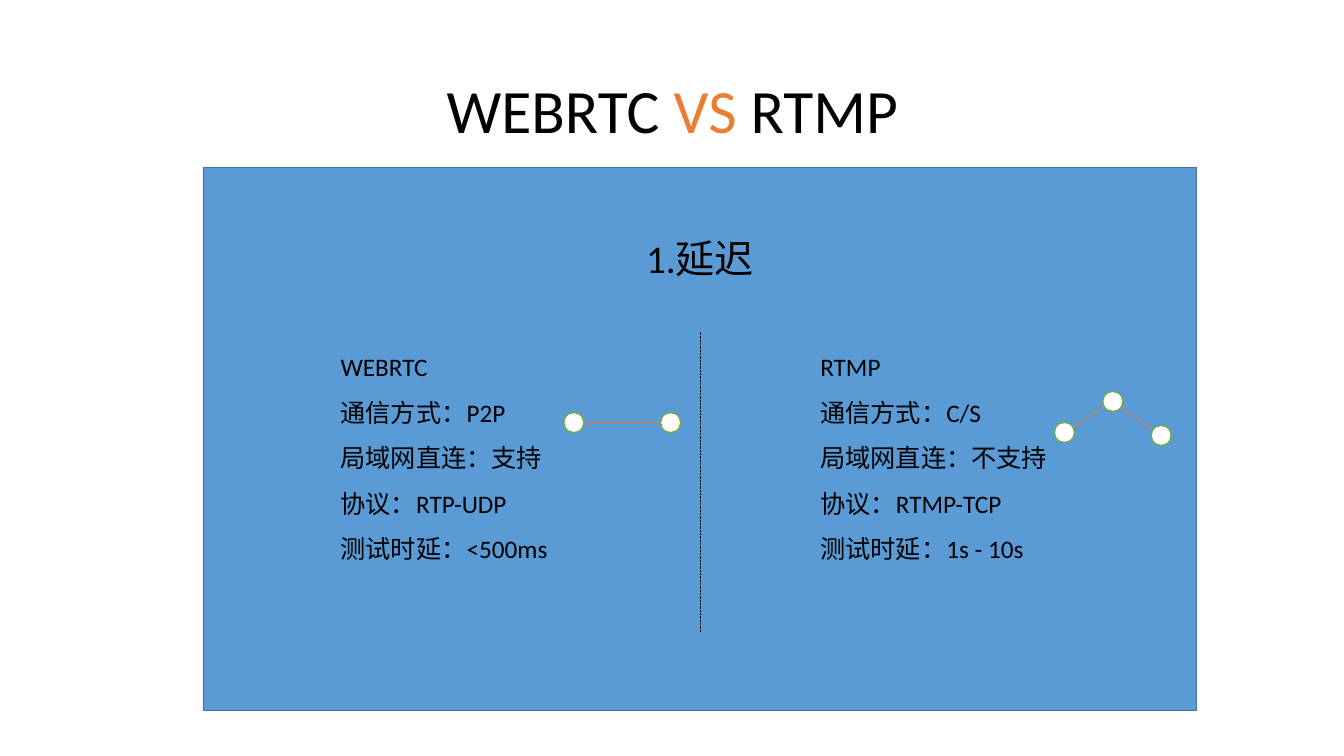
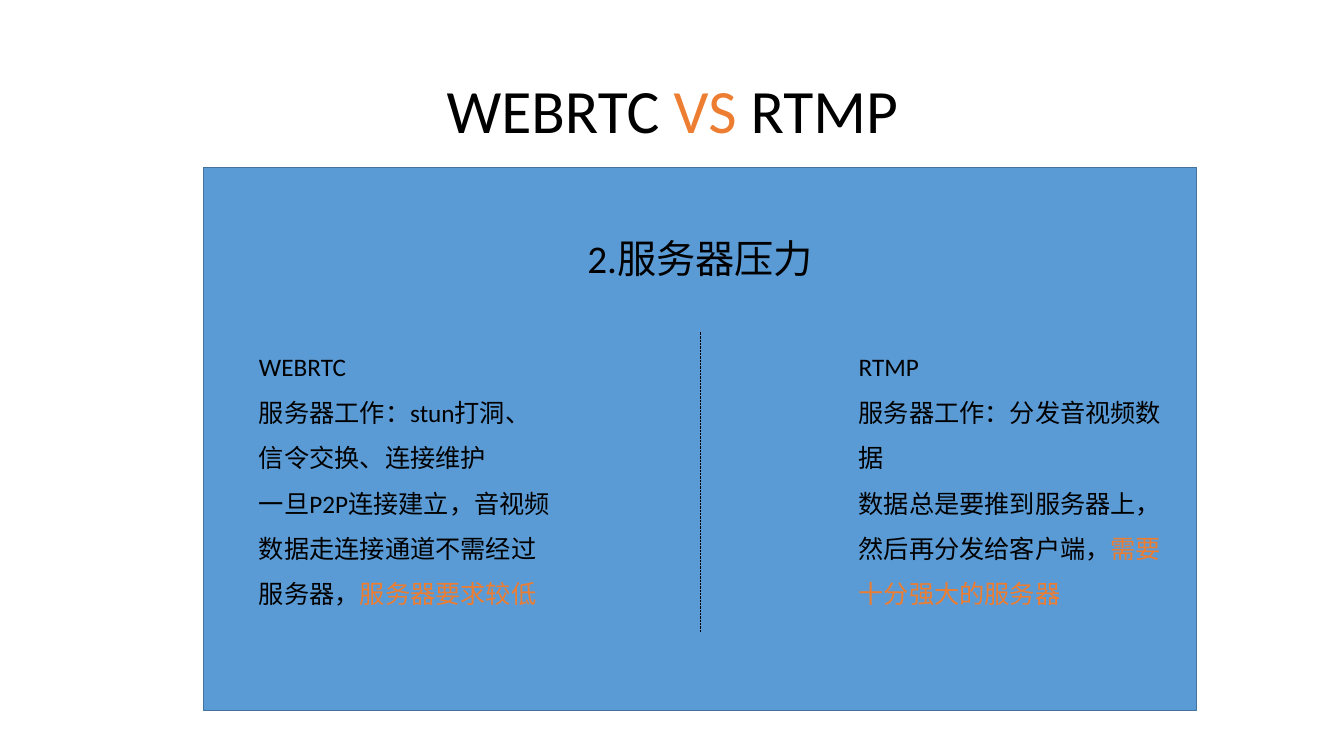
from itertools import pairwise
from typing import NamedTuple

from lxml.etree import SubElement
from pptx import Presentation
from pptx.dml.color import RGBColor
from pptx.enum.dml import MSO_LINE as Dash
from pptx.enum.shapes import MSO_CONNECTOR as Link, MSO_SHAPE as Form
from pptx.enum.text import MSO_ANCHOR as Anchor, PP_ALIGN as Align
from pptx.oxml.ns import qn
from pptx.slide import Slide
from pptx.util import Inches, Pt

# Shared style
BLACK = RGBColor(0x00, 0x00, 0x00)
WHITE = RGBColor(0xFF, 0xFF, 0xFF)
BLUE = RGBColor(0x5B, 0x9B, 0xD5)
NAVY = RGBColor(0x43, 0x72, 0x9D)
ORANGE = RGBColor(0xED, 0x7D, 0x31)
GREEN = RGBColor(0x70, 0xAD, 0x47)
FONT = "Calibri"

# Grid of 100 columns by 100 rows
WIDE, HIGH = Inches(13.33), Inches(7.5)
DOT = Inches(0.2)


class Run(NamedTuple):
    text: str
    color: RGBColor = BLACK


class Box(NamedTuple):
    col: float
    row: float
    cols: float
    rows: float


class Spot(NamedTuple):
    col: float
    row: float


class Column(NamedTuple):
    col: float
    cols: float
    paras: list[list[Run]]


class Net(NamedTuple):
    spots: list[Spot]
    weight: float


class Page(NamedTuple):
    head: str
    columns: list[Column]
    nets: list[Net]


PANEL = Box(15.15, 22.13, 73.88, 71.87)
TITLE = Box(6.9, 5.33, 86.25, 19.33)
HEAD = Box(PANEL.col, 30.4, PANEL.cols, 7.6)
MID = PANEL.col + PANEL.cols / 2
TOP, BASE = 43.87, 83.6


def across(col: float) -> int:
    return round(WIDE * col / 100)


def down(row: float) -> int:
    return round(HIGH * row / 100)


def place(box: Box) -> tuple[int, int, int, int]:
    return across(box.col), down(box.row), across(box.cols), down(box.rows)


def add_form(slide: Slide, form: Form, area: tuple[int, int, int, int],
             fill: RGBColor, edge: RGBColor) -> None:
    shape = slide.shapes.add_shape(form, *area)
    shape.shadow.inherit = False
    shape.fill.solid()
    shape.fill.fore_color.rgb = fill
    shape.line.color.rgb = edge
    shape.line.width = Pt(1)


def add_line(slide: Slide, start: Spot, end: Spot, color: RGBColor,
             weight: float, dash: Dash | None = None) -> None:
    line = slide.shapes.add_connector(
        Link.STRAIGHT, across(start.col), down(start.row),
        across(end.col), down(end.row))
    line.line.color.rgb = color
    line.line.width = Pt(weight)
    if dash is not None:
        line.line.dash_style = dash
    SubElement(line._element.spPr, qn("a:effectLst"))


def add_text(slide: Slide, box: Box, paras: list[list[Run]], size: float,
             space: float = 1.0, align: Align = Align.LEFT,
             anchor: Anchor = Anchor.TOP) -> None:
    frame = slide.shapes.add_textbox(*place(box)).text_frame
    frame.word_wrap = True
    frame.vertical_anchor = anchor
    for i, runs in enumerate(paras):
        para = frame.add_paragraph() if i else frame.paragraphs[0]
        para.alignment = align
        para.line_spacing = space
        for item in runs:
            run = para.add_run()
            run.text = item.text
            run.font.name = FONT
            run.font.size = Pt(size)
            run.font.color.rgb = item.color


def add_net(slide: Slide, net: Net) -> None:
    # Links lie under the dots, so they run from centre to centre
    for start, end in pairwise(net.spots):
        add_line(slide, start, end, ORANGE, net.weight)
    for spot in net.spots:
        area = (across(spot.col) - DOT // 2, down(spot.row) - DOT // 2, DOT, DOT)
        add_form(slide, Form.OVAL, area, WHITE, GREEN)


def add_page(deck: Presentation, page: Page) -> None:
    slide = deck.slides.add_slide(deck.slide_layouts[6])
    add_form(slide, Form.RECTANGLE, place(PANEL), BLUE, NAVY)
    title = [Run("WEBRTC "), Run("VS", ORANGE), Run(" RTMP")]
    add_text(slide, TITLE, [title], 44, 0.9, Align.CENTER, Anchor.MIDDLE)
    add_text(slide, HEAD, [[Run(page.head)]], 28, align=Align.CENTER)
    for part in page.columns:
        box = Box(part.col, TOP, part.cols, BASE - TOP)
        add_text(slide, box, part.paras, 18, 1.5)
    add_line(slide, Spot(MID, BASE), Spot(MID, TOP), BLACK, 0.5, Dash.ROUND_DOT)
    for net in page.nets:
        add_net(slide, net)


# Content
PAGES = [
    Page("1.延迟", [
        Column(24.6, 17.25, [
            [Run("WEBRTC")],
            [Run("通信方式：P2P")],
            [Run("局域网直连：支持")],
            [Run("协议：RTP-UDP")],
            [Run("测试时延：<500ms")],
        ]),
        Column(60.3, 18.75, [
            [Run("RTMP")],
            [Run("通信方式：C/S")],
            [Run("局域网直连：不支持")],
            [Run("协议：RTMP-TCP")],
            [Run("测试时延：1s - 10s")],
        ]),
    ], [
        Net([Spot(42.7, 55.9), Spot(49.9, 55.9)], 1),
        Net([Spot(79.2, 57.2), Spot(82.8, 53.1), Spot(86.4, 57.6)], 0.5),
    ]),
    Page("2.服务器压力", [
        Column(18.53, 23.33, [
            [Run("WEBRTC")],
            [Run("服务器工作：stun打洞、信令交换、连接维护")],
            [Run("一旦P2P连接建立，音视频数据走连接通道不需经过服务器，"),
             Run("服务器要求较低", ORANGE)],
        ]),
        Column(63.15, 24.23, [
            [Run("RTMP")],
            [Run("服务器工作：分发音视频数据")],
            [Run("数据总是要推到服务器上，然后再分发给客户端，"),
             Run("需要十分强大的服务器", ORANGE)],
        ]),
    ], []),
]


def main() -> None:
    deck = Presentation()
    deck.slide_width, deck.slide_height = WIDE, HIGH
    for page in PAGES:
        add_page(deck, page)
    deck.save("out.pptx")


if __name__ == "__main__":
    main()
